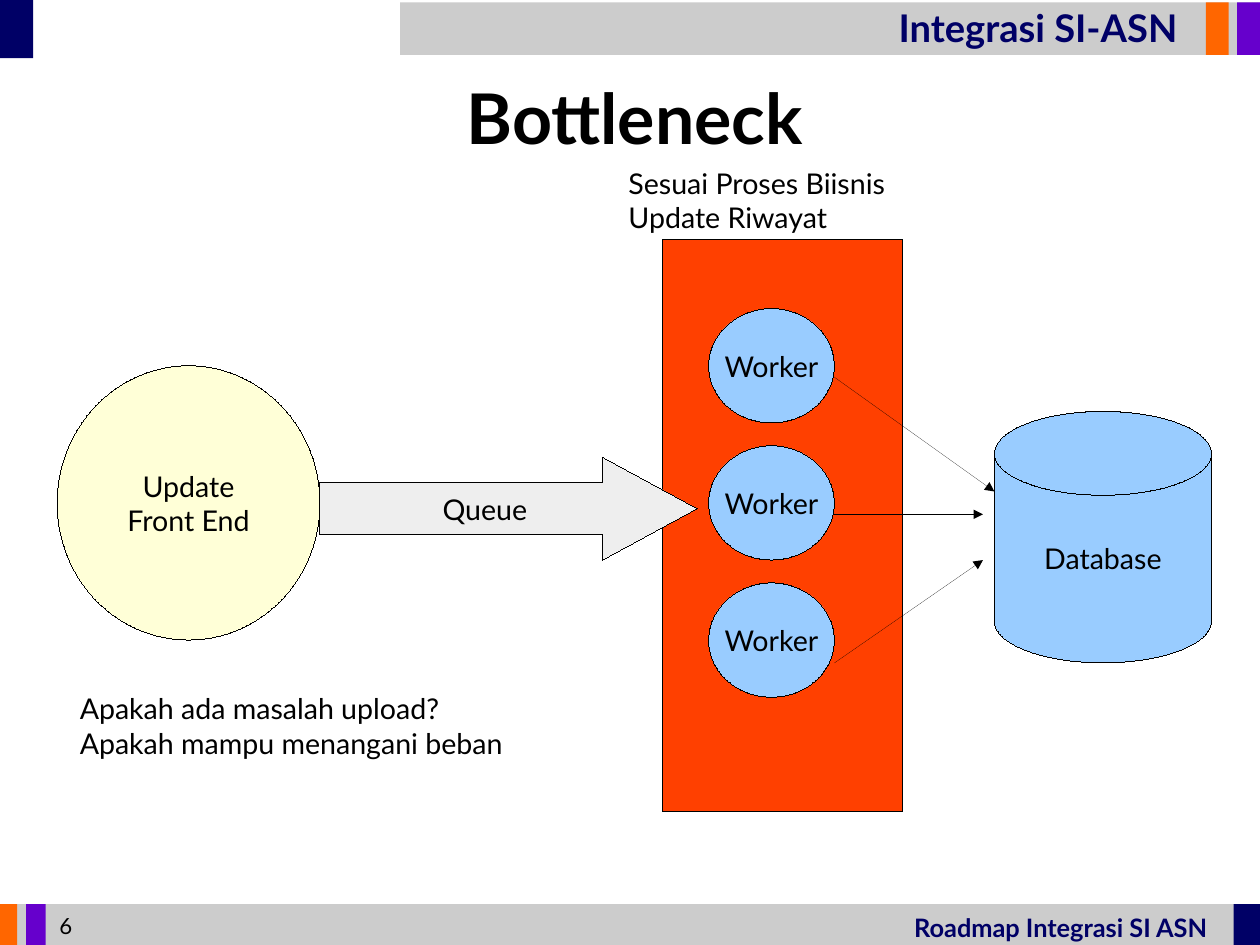
from dataclasses import dataclass

from lxml import etree
from pptx import Presentation
from pptx import util as u
from pptx.dml.color import RGBColor
from pptx.enum import shapes, text
from pptx.oxml.ns import qn

KIND = shapes.MSO_SHAPE
SIDE = text.PP_ALIGN
WIDE, HIGH = u.Cm(28), u.Cm(21)
CELL = u.Inches(0.1)
COLS = WIDE / CELL


@dataclass(frozen=True)
class Theme:
    font: str = "Lato"
    ink: str = "000000"
    navy: str = "000066"
    grey: str = "CCCCCC"
    orange: str = "FF6600"
    purple: str = "6600CC"
    red: str = "FF4000"
    cream: str = "FFFFD7"
    pale: str = "EEEEEE"
    blue: str = "99CCFF"
    title: int = 44
    head: int = 24
    body: int = 18
    foot: int = 16
    page: int = 14


LOOK = Theme()


def grid(*cells):
    """Turn columns and rows of the grid into lengths."""
    return [u.Emu(round(n * CELL)) for n in cells]


def write(shape, words, size=LOOK.body, color=LOOK.ink, bold=False, side=SIDE.LEFT):
    frame = shape.text_frame
    frame.text = words
    for para in frame.paragraphs:
        para.alignment = side
        for run in para.runs:
            font = run.font
            font.name, font.size, font.bold = LOOK.font, u.Pt(size), bold
            font.color.rgb = RGBColor.from_string(color)


def hair(shape):
    """Give a hairline outline; a width of zero must be stated in the XML."""
    shape.line.color.rgb = RGBColor.from_string(LOOK.ink)
    line = shape._element.spPr.find(qn("a:ln"))
    line.set("w", "0")
    return line


def block(slide, kind, area, fill, edge=True):
    shape = slide.shapes.add_shape(kind, *grid(*area))
    shape.shadow.inherit = False
    shape.fill.solid()
    shape.fill.fore_color.rgb = RGBColor.from_string(fill)
    if edge:
        hair(shape)
    else:
        shape.line.fill.background()
    return shape


def node(slide, kind, area, fill, words):
    """Draw an outlined shape with a centred label."""
    shape = block(slide, kind, area, fill)
    write(shape, words, side=SIDE.CENTER)
    shape.text_frame.word_wrap = False
    shape.text_frame.vertical_anchor = text.MSO_ANCHOR.MIDDLE
    return shape


def label(slide, area, words, **style):
    box = slide.shapes.add_textbox(*grid(*area))
    box.text_frame.word_wrap = True
    write(box, words, **style)


def arrow(slide, start, end):
    line = slide.shapes.add_connector(
        shapes.MSO_CONNECTOR.STRAIGHT, *grid(*start, *end))
    etree.SubElement(hair(line), qn("a:tailEnd"), type="triangle")
    etree.SubElement(line._element.spPr, qn("a:effectLst"))


def frame(slide):
    """Draw the header and footer bands with their labels."""
    top, tall = 0.2, 4.6
    base, low = 79.1, 3.6
    bars = [
        (35, top, COLS - 35, tall, LOOK.grey),
        (COLS - 2, top, 2, tall, LOOK.purple),
        (105.5, top, 2, tall, LOOK.orange),
        (0, 0, 2.9, 5.1, LOOK.navy),
        (0, base, COLS, low, LOOK.grey),
        (0, base, 1.5, low, LOOK.orange),
        (2.3, base, 1.7, low, LOOK.purple),
        (COLS - 2.3, base, 2.3, low, LOOK.navy),
    ]
    for *area, fill in bars:
        block(slide, KIND.RECTANGLE, area, fill, edge=False)
    label(slide, (41.1, -0.1, 62.9, 5), "Integrasi SI-ASN",
          size=LOOK.head, color=LOOK.navy, bold=True, side=SIDE.RIGHT)
    label(slide, (79, 79.3, 29.1, 3.6), "Roadmap Integrasi SI ASN",
          size=LOOK.foot, color=LOOK.navy, bold=True)
    label(slide, (4.2, 79.3, 10.9, 3.3), "6", size=LOOK.page)


def head(slide, words):
    title = slide.shapes.title
    title.left, title.top, title.width, title.height = grid(5.1, 6, 100.9, 8.4)
    body = title.text_frame
    body.margin_left = body.margin_right = body.margin_top = body.margin_bottom = 0
    body.auto_size = text.MSO_AUTO_SIZE.NONE
    body.vertical_anchor = text.MSO_ANCHOR.MIDDLE
    write(title, words, size=LOOK.title, bold=True, side=SIDE.CENTER)


def flow(slide):
    """Draw the path from front end through the workers to the database."""
    block(slide, KIND.RECTANGLE, (58, 21, 21, 50), LOOK.red)
    node(slide, KIND.OVAL, (5, 32, 23, 24), LOOK.cream, "Update\nFront End")
    queue = node(slide, KIND.RIGHT_ARROW, (28, 40, 33, 9), LOOK.pale, "Queue")
    queue.adjustments[1] = 0.92
    for row in range(3):
        node(slide, KIND.OVAL, (62, 27 + 12 * row, 11, 10), LOOK.blue, "Worker")
    node(slide, KIND.FLOWCHART_MAGNETIC_DISK, (87, 36, 19, 22), LOOK.blue, "Database")
    for start, end in [(33, (87, 43)), (45, (86, 45)), (58, (86, 49))]:
        arrow(slide, (73, start), end)


def main():
    deck = Presentation()
    deck.slide_width, deck.slide_height = WIDE, HIGH
    slide = deck.slides.add_slide(deck.slide_layouts.get_by_name("Title Only"))
    frame(slide)
    head(slide, "Bottleneck")
    flow(slide)
    label(slide, (6, 60, 44, 9.4),
          "Apakah ada masalah upload?\nApakah mampu menangani beban")
    label(slide, (54, 14, 25.1, 7), "Sesuai Proses Biisnis\nUpdate Riwayat")
    deck.save("out.pptx")


if __name__ == "__main__":
    main()
